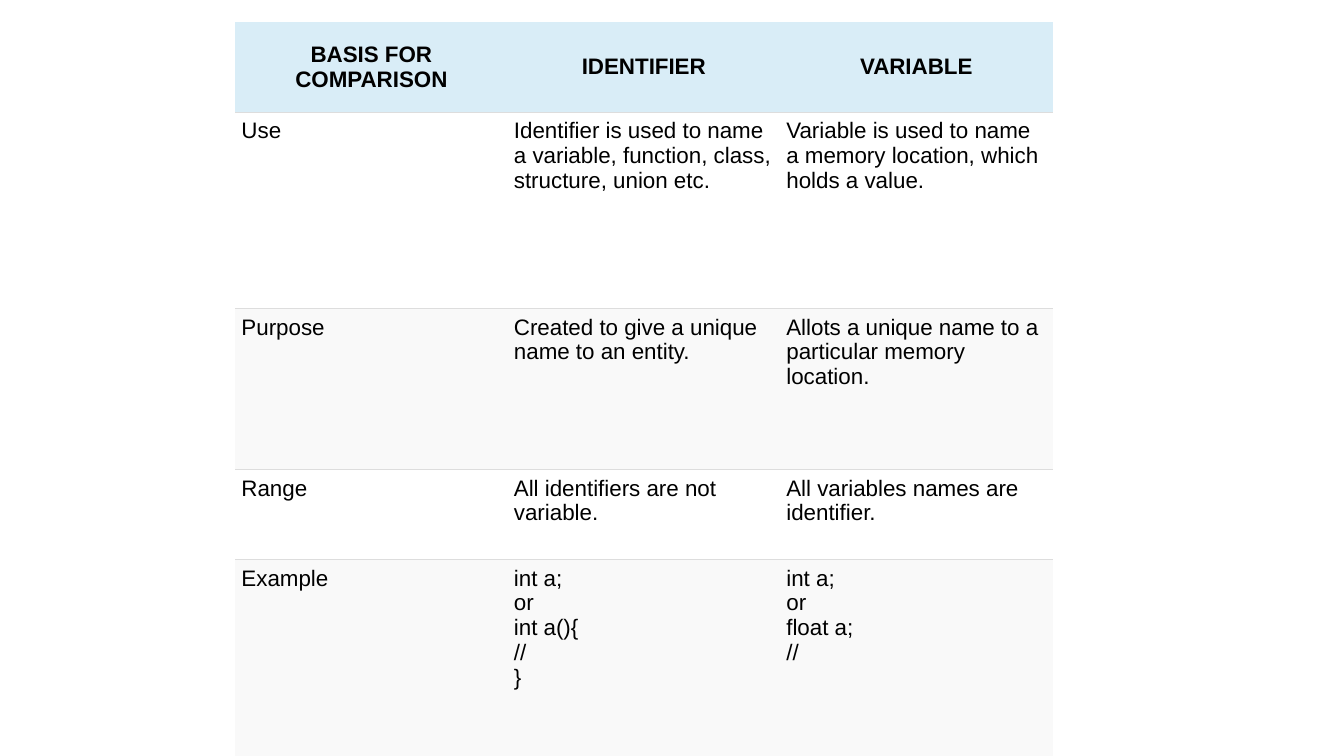
from dataclasses import dataclass

from lxml import etree
from pptx import Presentation
from pptx import util as u
from pptx.dml.color import RGBColor
from pptx.enum import text
from pptx.oxml.ns import qn

# Content
HEADER = ("BASIS FOR COMPARISON", "IDENTIFIER", "VARIABLE")
ROWS = [
    ("Use",
     "Identifier is used to name a variable, function, class, structure, union etc.",
     "Variable is used to name a memory location, which holds a value."),
    ("Purpose",
     "Created to give a unique name to an entity.",
     "Allots a unique name to a particular memory location."),
    ("Range",
     "All identifiers are not variable.",
     "All variables names are identifier."),
    ("Example",
     "int a;\vor\vint a(){\v//\v}",
     "int a;\vor\vfloat a;\v//"),
]
ROW_HEIGHTS = (64.3, 140.4, 115, 64.3, 140.4)
COLUMN_WIDTH = 194.6
LEFT, TOP = 168, 15.8
CELL_MARGIN = 4.5
NO_STYLE = "{2D5ABB26-0587-4C30-8999-92F81FD0307C}"


@dataclass
class Theme:
    font: str = "Arial"
    size: float = 16
    ink: str = "000000"
    header: str = "D9EDF7"
    bands: tuple = ("FFFFFF", "F9F9F9")
    rule: str = "DDDDDD"
    rule_width: float = 0.75


theme = Theme()


def add_rule(cell, tag, position):
    """Draw one horizontal border; borders come before the fill."""
    line = etree.Element(qn(tag), w=str(u.Pt(theme.rule_width)))
    fill = etree.SubElement(line, qn("a:solidFill"))
    etree.SubElement(fill, qn("a:srgbClr"), val=theme.rule)
    cell._tc.get_or_add_tcPr().insert(position, line)


def format_cell(cell, words, fill, is_header):
    cell.margin_left = cell.margin_right = u.Pt(CELL_MARGIN)
    cell.margin_top = cell.margin_bottom = u.Pt(CELL_MARGIN)
    cell.vertical_anchor = text.MSO_ANCHOR.MIDDLE if is_header else text.MSO_ANCHOR.TOP
    cell.fill.solid()
    cell.fill.fore_color.rgb = RGBColor.from_string(fill)

    paragraph = cell.text_frame.paragraphs[0]
    paragraph.text = words
    paragraph.alignment = text.PP_ALIGN.CENTER if is_header else text.PP_ALIGN.LEFT
    for run in paragraph.runs:
        run.font.name = theme.font
        run.font.size = u.Pt(theme.size)
        run.font.bold = is_header
        run.font.color.rgb = RGBColor.from_string(theme.ink)
    # Line breaks take the size of the text around them
    for line_break in paragraph._p.findall(qn("a:br")):
        etree.SubElement(line_break, qn("a:rPr"), sz=str(int(theme.size * 100)))


def main():
    presentation = Presentation()
    presentation.slide_width, presentation.slide_height = u.Pt(960), u.Pt(540)
    slide = presentation.slides.add_slide(presentation.slide_layouts[6])

    # Comparison table
    contents = [HEADER, *ROWS]
    frame = slide.shapes.add_table(
        len(contents), len(HEADER), u.Pt(LEFT), u.Pt(TOP),
        u.Pt(COLUMN_WIDTH * len(HEADER)), u.Pt(sum(ROW_HEIGHTS)))
    table = frame.table
    table.horz_banding = False
    table._tbl.tblPr.find(qn("a:tableStyleId")).text = NO_STYLE
    for column in table.columns:
        column.width = u.Pt(COLUMN_WIDTH)

    # Cells, with a rule between neighbouring rows
    last = len(contents) - 1
    for index, entries in enumerate(contents):
        table.rows[index].height = u.Pt(ROW_HEIGHTS[index])
        is_header = index == 0
        fill = theme.header if is_header else theme.bands[(index - 1) % 2]
        for column, words in enumerate(entries):
            cell = table.cell(index, column)
            format_cell(cell, words, fill, is_header)
            if index < last:
                add_rule(cell, "a:lnB", 0)
            if not is_header:
                add_rule(cell, "a:lnT", 0)

    presentation.save("out.pptx")


if __name__ == "__main__":
    main()
